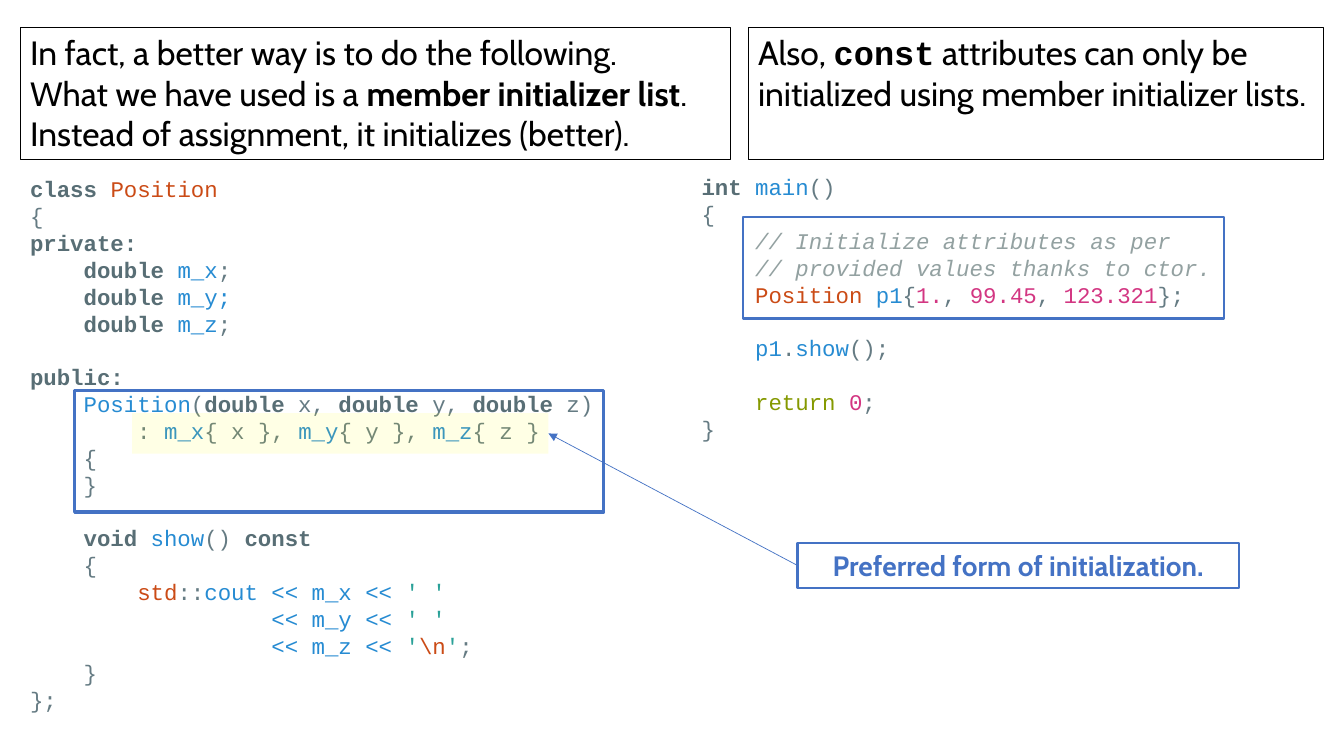
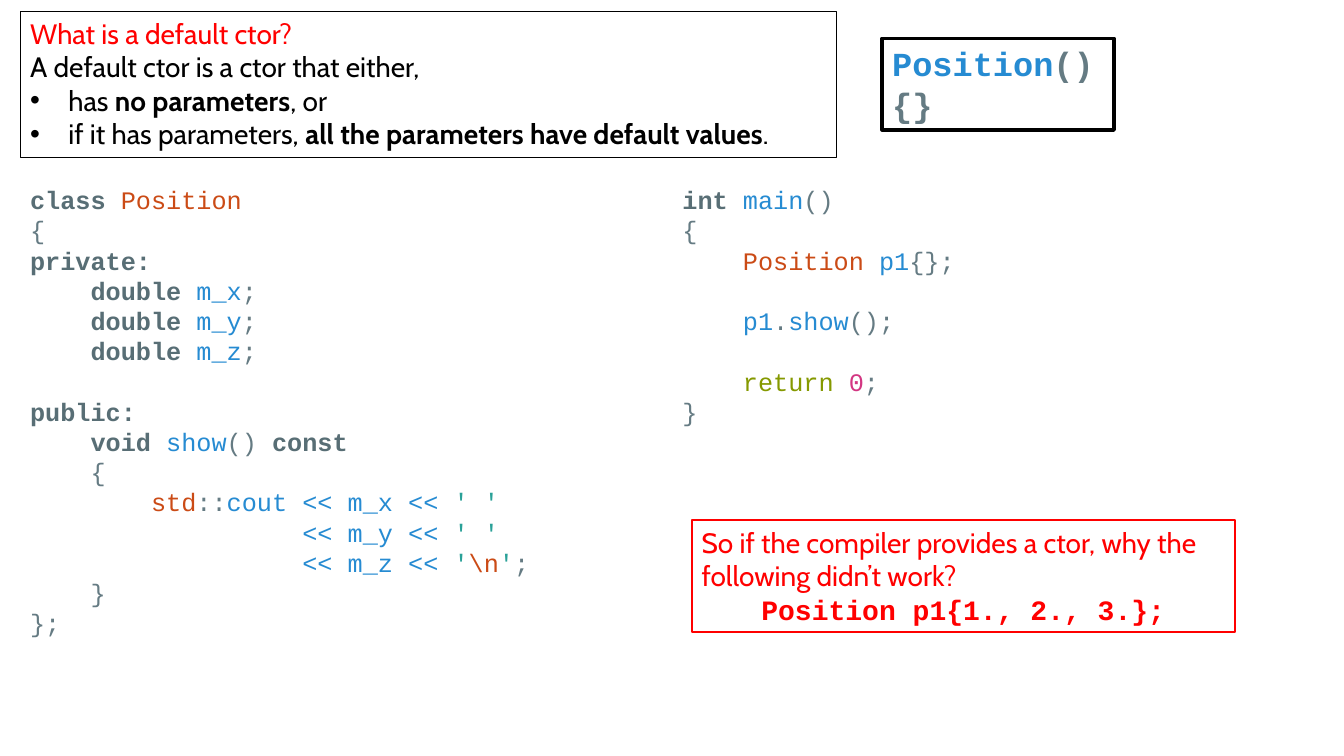
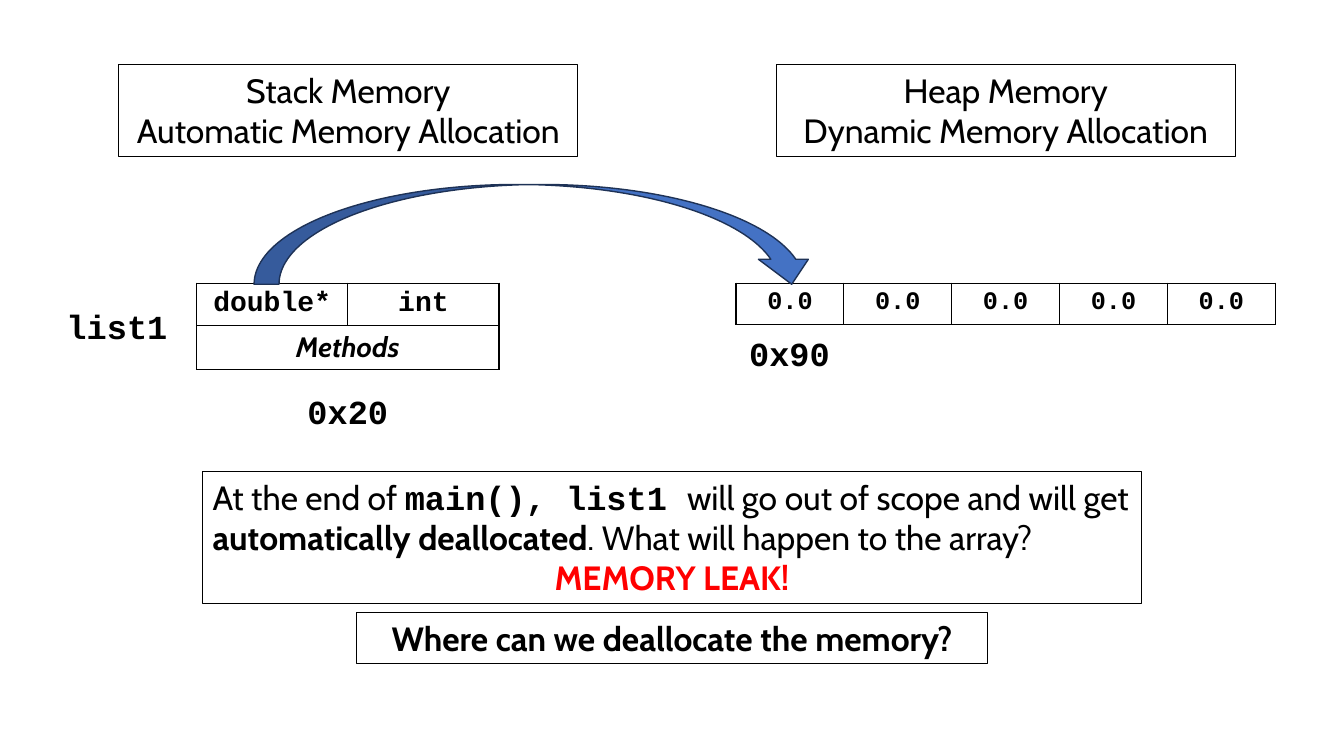
from lxml.etree import SubElement
from pptx import Presentation
from pptx.dml.color import RGBColor
from pptx.enum.shapes import MSO_CONNECTOR, MSO_SHAPE
from pptx.enum.text import MSO_ANCHOR, PP_ALIGN
from pptx.oxml.ns import qn
from pptx.util import Inches, Pt

color = RGBColor.from_string
BLACK, RED, BLUE, WHITE = "000000", "FF0000", "4472C4", "FFFFFF"
TEXT_FONT, CODE_FONT = "Cabin", "Courier New"
CODE_LEADING = 1.2

# style: font, colour, bold, italic
STYLES = {
    "text": (TEXT_FONT, BLACK, False, False),
    "strong": (TEXT_FONT, BLACK, True, False),
    "heading": (TEXT_FONT, BLACK, True, True),
    "alert": (TEXT_FONT, RED, False, False),
    "strong alert": (TEXT_FONT, RED, True, False),
    "callout": (TEXT_FONT, BLUE, True, False),
    "code": (CODE_FONT, BLACK, True, False),
    "code alert": (CODE_FONT, RED, True, False),
    "keyword": (CODE_FONT, "586E75", True, False),
    "plain": (CODE_FONT, "657B83", False, False),
    "strong plain": (CODE_FONT, "657B83", True, False),
    "type": (CODE_FONT, "CB4B16", False, False),
    "name": (CODE_FONT, "268BD2", False, False),
    "strong name": (CODE_FONT, "268BD2", True, False),
    "comment": (CODE_FONT, "93A1A1", False, True),
    "number": (CODE_FONT, "D33682", False, False),
    "string": (CODE_FONT, "2AA198", False, False),
    "return": (CODE_FONT, "859900", False, False),
}


def write(frame, lines, size, align=PP_ALIGN.LEFT, code_leading=CODE_LEADING):
    """Write lines of (text, style) runs; an empty line becomes space before the next."""
    paragraph, gap = None, 0
    for line in lines:
        if not line:
            gap = size * CODE_LEADING
            continue
        paragraph = frame.add_paragraph() if paragraph else frame.paragraphs[0]
        paragraph.alignment = align
        if code_leading and all(STYLES[style][0] == CODE_FONT for _, style in line):
            paragraph.line_spacing = Pt(size * code_leading)
        if gap:
            paragraph.space_before, gap = Pt(gap), 0
        for text, style in line:
            run = paragraph.add_run()
            run.text = text
            name, hex_color, bold, italic = STYLES[style]
            run.font.color.rgb = color(hex_color)
            for key, value in {"name": name, "size": Pt(size), "bold": bold, "italic": italic}.items():
                setattr(run.font, key, value)


def add_box(slide, place, lines=(), size=24, align=PP_ALIGN.LEFT, outline=None,
            weight=0.75, fill=None, preset=MSO_SHAPE.RECTANGLE):
    """Add a text box, or a preset shape when an outline or a fill is given."""
    place = [Inches(length) for length in place]
    if outline or fill:
        shape = slide.shapes.add_shape(preset, *place)
        shape.shadow.inherit = False
        if fill:
            shape.fill.solid()
            shape.fill.fore_color.rgb = color(fill)
        else:
            shape.fill.background()
        if outline:
            shape.line.color.rgb = color(outline)
            shape.line.width = Pt(weight)
        else:
            shape.line.fill.background()
    else:
        shape = slide.shapes.add_textbox(*place)
    shape.text_frame.word_wrap = True
    shape.text_frame.vertical_anchor = MSO_ANCHOR.TOP
    write(shape.text_frame, lines, size, align)
    return shape


presentation = Presentation()
presentation.slide_width, presentation.slide_height = Inches(13.33), Inches(7.5)
initializer_slide, default_slide, memory_slide = [
    presentation.slides.add_slide(presentation.slide_layouts[6]) for _ in range(3)]

# Code that both class listings share
class_start = [
    [("class ", "keyword"), ("Position", "type")],
    [("{", "plain")],
    [("private:", "keyword")],
]
member_x, member_y, member_z = [
    [("    ", "plain"), ("double ", "keyword"), (member, "name"), (";", "plain")]
    for member in ("m_x", "m_y", "m_z")]
public = [[], [("public:", "keyword")]]
stream_indent = (" " * 18, "plain")
show_method = [
    [("    ", "plain"), ("void ", "keyword"), ("show", "name"), ("() ", "plain"), ("const", "keyword")],
    [("    {", "plain")],
    [("        ", "plain"), ("std", "type"), ("::", "plain"), ("cout << m_x << ", "name"), ("' '", "string")],
    [stream_indent, ("<< m_y << ", "name"), ("' '", "string")],
    [stream_indent, ("<< m_z << ", "name"), ("'", "string"), ("\\n", "type"), ("'", "string"), (";", "plain")],
    [("    }", "plain")],
    [("};", "plain")],
]
main_start = [
    [("int ", "keyword"), ("main", "name"), ("()", "plain")],
    [("{", "plain")],
]
main_end = [
    [],
    [("    ", "plain"), ("p1", "name"), (".", "plain"), ("show", "name"), ("();", "plain")],
    [],
    [("    ", "plain"), ("return ", "return"), ("0", "number"), (";", "plain")],
    [("}", "plain")],
]

# Slide 1: member initializer list
constructor = [
    [("    ", "plain"), ("Position", "name"), ("(", "plain"), ("double", "keyword"), (" x, ", "plain"),
     ("double", "keyword"), (" y, ", "plain"), ("double", "keyword"), (" z)", "plain")],
    [("        : ", "plain"), ("m_x", "name"), ("{ x }, ", "plain"), ("m_y", "name"), ("{ y }, ", "plain"),
     ("m_z", "name"), ("{ z }", "plain")],
    [("    {", "plain")],
    [("    }", "plain")],
    [],
]
blue_member_y = member_y[:2] + [("m_y;", "name")]
add_box(initializer_slide, (0.2, 1.69, 6.66, 5.49),
        class_start + [member_x, blue_member_y, member_z] + public + constructor + show_method, 16)
add_box(initializer_slide, (6.86, 1.67, 5.88, 2.83), main_start + [
    [("    // Initialize attributes as per", "comment")],
    [("    // provided values thanks to ctor.", "comment")],
    [("    ", "plain"), ("Position ", "type"), ("p1", "name"), ("{", "plain"), ("1.", "number"),
     (", ", "plain"), ("99.45", "number"), (", ", "plain"), ("123.321", "number"), ("};", "plain")],
] + main_end, 16)
add_box(initializer_slide, (0.2, 0.27, 7.05, 1.31), [
    [("In fact, a better way is to do the following.", "text")],
    [("What we have used is a ", "text"), ("member initializer list", "strong"), (".", "text")],
    [("Instead of assignment, it initializes (better).", "text")],
], outline=BLACK)
add_box(initializer_slide, (0.74, 3.87, 5.25, 1.21), outline=BLUE, weight=2.25)
add_box(initializer_slide, (7.42, 0.27, 5.71, 1.31), [
    [("Also, ", "text"), ("const", "code"),
     (" attributes can only be initialized using member initializer lists.", "text")],
], outline=BLACK)
highlight = add_box(initializer_slide, (1.31, 4.1, 4.13, 0.4), fill="FFFF00")
highlight_color = highlight.fill._xPr.find(qn("a:solidFill"))[0]
SubElement(highlight_color, qn("a:alpha"), val="10000")
add_box(initializer_slide, (7.91, 5.39, 4.38, 0.44), [[("Preferred form of initialization.", "callout")]],
        20, PP_ALIGN.CENTER, BLUE, 1.5)
arrow = initializer_slide.shapes.add_connector(
    MSO_CONNECTOR.STRAIGHT, Inches(7.91), Inches(5.61), Inches(5.44), Inches(4.3))
arrow.line.color.rgb = color(BLUE)
arrow.line.width = Pt(0.5)
SubElement(arrow.line._get_or_add_ln(), qn("a:tailEnd"), type="triangle")
SubElement(arrow._element.spPr, qn("a:effectLst"))
add_box(initializer_slide, (7.37, 2.15, 4.77, 1.01), outline=BLUE, weight=1.5)

# Slide 2: default constructor
add_box(default_slide, (0.2, 1.78, 6.66, 4.64),
        class_start + [member_x, member_y, member_z] + public + show_method, 18)
add_box(default_slide, (6.67, 1.78, 6.47, 2.52), main_start + [
    [("    ", "plain"), ("Position ", "type"), ("p1", "name"), ("{};", "plain")],
] + main_end, 18)
definition = add_box(default_slide, (0.2, 0.11, 8.1, 1.45), [
    [("What is a default ctor?", "alert")],
    [("A default ctor is a ctor that either,", "text")],
    [("has ", "text"), ("no parameters", "strong"), (", or", "text")],
    [("if it has parameters, ", "text"), ("all the parameters have default values", "strong"), (".", "text")],
], 20, outline=BLACK)
for paragraph in definition.text_frame.paragraphs[2:]:
    properties = paragraph._p.get_or_add_pPr()
    properties.set("marL", str(Inches(0.38)))
    properties.set("indent", str(-Inches(0.38)))
    SubElement(properties, qn("a:buFont"), typeface="Arial")
    SubElement(properties, qn("a:buChar"), char="•")
add_box(default_slide, (8.75, 0.38, 2.3, 0.91), [
    [("Position", "strong name"), ("()", "strong plain")],
    [("{}", "strong plain")],
], outline=BLACK, weight=2.5)
question = add_box(default_slide, (6.86, 5.16, 5.39, 1.11), [
    [("So if the compiler provides a ctor, why the following didn’t work?", "alert")],
    [("Position p1{1., 2., 3.};", "code alert")],
], 20, outline=RED, weight=1.5)
question.text_frame.paragraphs[1].alignment = PP_ALIGN.CENTER

# Slide 3: stack and heap memory
for left, top, column_width, size, rows in (
    (1.95, 2.81, 1.5, 20, [[("double*", "code"), ("int", "code")], [("Methods", "heading"), None]]),
    (7.3, 2.81, 1.07, 18, [[("0.0", "code")] * 5]),
):
    columns = len(rows[0])
    table = memory_slide.shapes.add_table(
        len(rows), columns, Inches(left), Inches(top),
        Inches(column_width * columns), Inches(0.41 * len(rows))).table
    table.first_row = table.horz_banding = False
    for row, entries in enumerate(rows):
        for column, entry in enumerate(entries):
            cell = table.cell(row, column)
            for side in ("lnL", "lnR", "lnT", "lnB"):
                border = SubElement(cell._tc.get_or_add_tcPr(), qn(f"a:{side}"), w=str(Pt(1)))
                border_fill = SubElement(border, qn("a:solidFill"))
                SubElement(border_fill, qn("a:srgbClr"), val=BLACK)
            cell.fill.solid()
            cell.fill.fore_color.rgb = color(WHITE)
            if entry:
                write(cell.text_frame, [[entry]], size, PP_ALIGN.CENTER, None)
            else:
                table.cell(row, 0).merge(cell)

for left, kind, allocation in ((1.18, "Stack", "Automatic"), (7.7, "Heap", "Dynamic")):
    add_box(memory_slide, (left, 0.64, 4.55, 0.91), [
        [(f"{kind} Memory", "text")],
        [(f"{allocation} Memory Allocation", "text")],
    ], align=PP_ALIGN.CENTER, outline=BLACK)
for left, top, label in ((0.36, 2.99, "list1"), (2.65, 3.83, "0x20"), (7.03, 3.25, "0x90")):
    add_box(memory_slide, (left, top, 1.6, 0.5), [[(label, "code")]], align=PP_ALIGN.CENTER)
add_box(memory_slide, (2.52, 1.83, 5.58, 0.99), outline="1E3256", weight=1, fill=BLUE,
        preset=MSO_SHAPE.CURVED_DOWN_ARROW)
leak = add_box(memory_slide, (2.01, 4.68, 9.31, 1.31), [
    [("At the end of ", "text"), ("main(), list1 ", "code"), ("will go out of scope and will get ", "text"),
     ("automatically deallocated", "strong"), (". What will happen to the array?", "text")],
    [("MEMORY LEAK!", "strong alert")],
], outline=BLACK)
leak.text_frame.paragraphs[1].alignment = PP_ALIGN.CENTER
add_box(memory_slide, (3.54, 6.08, 6.25, 0.5), [[("Where can we deallocate the memory?", "strong")]],
        align=PP_ALIGN.CENTER, outline=BLACK)

presentation.save("out.pptx")
